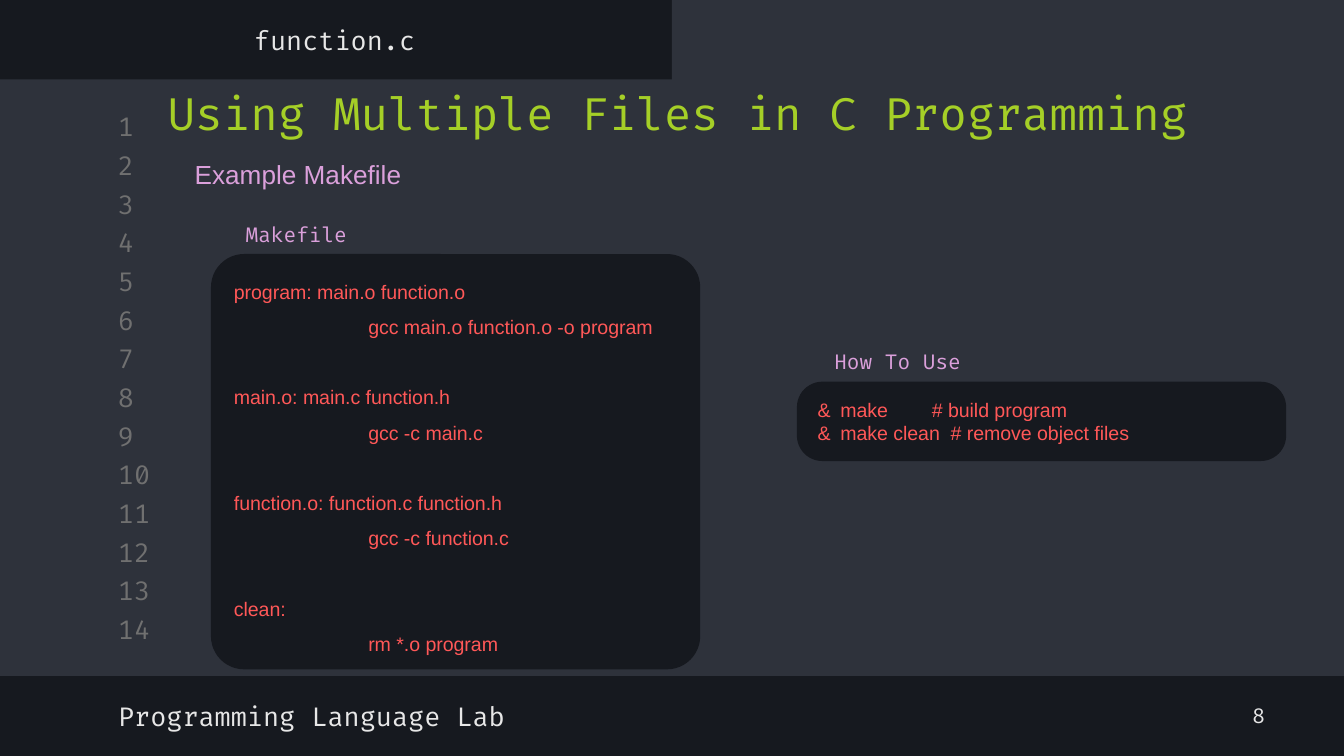
from pptx import Presentation
from pptx.dml.color import RGBColor
from pptx.enum.shapes import MSO_SHAPE
from pptx.enum.text import MSO_ANCHOR, PP_ALIGN
from pptx.oxml.ns import qn
from pptx.util import Inches, Pt
from lxml import etree

RECT, ROUND = MSO_SHAPE.RECTANGLE, MSO_SHAPE.ROUNDED_RECTANGLE
TOP, MIDDLE = MSO_ANCHOR.TOP, MSO_ANCHOR.MIDDLE
LEFT, CENTER = PP_ALIGN.LEFT, PP_ALIGN.CENTER

MONO, SANS = "Fira Code", "Arial"
DARK, SLATE, GRAY, WHITE = "16191F", "2E323B", "707070", "E7E7E7"
GREEN, PINK, RED = "A5CF27", "DBA0DB", "FF5858"

RULES = [
    ("program: main.o function.o", "gcc main.o function.o -o program"),
    ("main.o: main.c function.h", "gcc -c main.c"),
    ("function.o: function.c function.h", "gcc -c function.c"),
    ("clean:", "rm *.o program"),
]
USAGE = [
    ("&\tmake\t# build program", (0.17, 0.85)),
    ("&\tmake clean\t# remove object files", (0.17, 0.99)),
]


def color(code):
    return RGBColor.from_string(code)


def write(para, text, size=14, font=MONO, ink=WHITE, align=LEFT,
          line=1.0, before=0, tabs=()):
    """Fill one paragraph with formatted text."""
    if tabs:
        stops = etree.SubElement(para._p.get_or_add_pPr(), qn("a:tabLst"))
        for pos in tabs:
            etree.SubElement(stops, qn("a:tab"), pos=str(Inches(pos)), algn="l")
    para.alignment = align
    para.line_spacing = line
    para.space_before = Pt(before)
    run = para.add_run()
    run.text = text
    run.font.size = Pt(size)
    run.font.name = font
    run.font.color.rgb = color(ink)


def add_panel(slide, kind, box, fill):
    panel = slide.shapes.add_shape(kind, *map(Inches, box))
    panel.shadow.inherit = False
    panel.fill.solid()
    panel.fill.fore_color.rgb = color(fill)
    panel.line.fill.background()
    return panel


def add_label(slide, box, text, anchor=MIDDLE, pad=0.1, **style):
    frame = slide.shapes.add_textbox(*map(Inches, box)).text_frame
    frame.word_wrap = True
    frame.vertical_anchor = anchor
    frame.margin_top = frame.margin_bottom = Inches(pad)
    write(frame.paragraphs[0], text, **style)


def add_code(slide, box, radius, lines):
    """Draw a rounded panel; each line is a text and its format."""
    panel = add_panel(slide, ROUND, box, DARK)
    panel.adjustments[0] = radius
    frame = panel.text_frame
    frame.word_wrap = True
    frame.vertical_anchor = MIDDLE
    for i, (text, style) in enumerate(lines):
        para = frame.add_paragraph() if i else frame.paragraphs[0]
        write(para, text, size=10.5, font=SANS, ink=RED, **style)


def main():
    deck = Presentation()
    deck.slide_width = Inches(10)
    deck.slide_height = Inches(10) * 9 // 16
    slide = deck.slides.add_slide(deck.slide_layouts[6])

    # Editor window
    slide.background.fill.solid()
    slide.background.fill.fore_color.rgb = color(DARK)
    add_panel(slide, RECT, (0, 0.59, 10, 4.44), SLATE)
    add_panel(slide, RECT, (5, 0, 5, 0.65), SLATE)

    # Line numbers
    first, last, count = 0.82, 4.56, 14
    step = (last - first) / (count - 1)
    for i in range(count):
        add_label(slide, (0.78, first + i * step, 0.47, 0.24), str(i + 1), ink=GRAY)

    # Makefile, with a one-line gap between rules
    lines = []
    for i, (target, command) in enumerate(RULES):
        lines.append((target, {"line": 1.5, "before": 18.9 if i else 0}))
        lines.append(("\t" + command, {"line": 1.5, "tabs": (1,)}))
    add_code(slide, (1.57, 1.89, 3.64, 3.09), 0.08, lines)

    # Headings
    add_label(slide, (1.15, 0.54, 7.97, 0.59), "Using Multiple Files in C Programming",
              anchor=TOP, size=24, ink=GREEN)
    add_label(slide, (1.35, 1.13, 5, 0.34), "Example Makefile",
              anchor=TOP, pad=0.05, font=SANS, ink=PINK)

    # Usage
    add_code(slide, (5.93, 2.84, 3.64, 0.59), 0.32,
             [(text, {"tabs": tabs}) for text, tabs in USAGE])

    # Panel captions
    for left, top, text in ((6.11, 2.55, "How To Use"), (1.73, 1.6, "Makefile")):
        add_label(slide, (left, top, 1.2, 0.29), text,
                  anchor=TOP, pad=0.05, size=11, ink=PINK)

    # Tab name and footer
    add_label(slide, (-0.01, 0.1, 5, 0.39), "function.c", align=CENTER)
    add_label(slide, (0.78, 5.13, 5.32, 0.39), "Programming Language Lab")
    add_label(slide, (9.22, 5.13, 0.35, 0.39), "8", size=11)

    deck.save("out.pptx")


if __name__ == "__main__":
    main()
